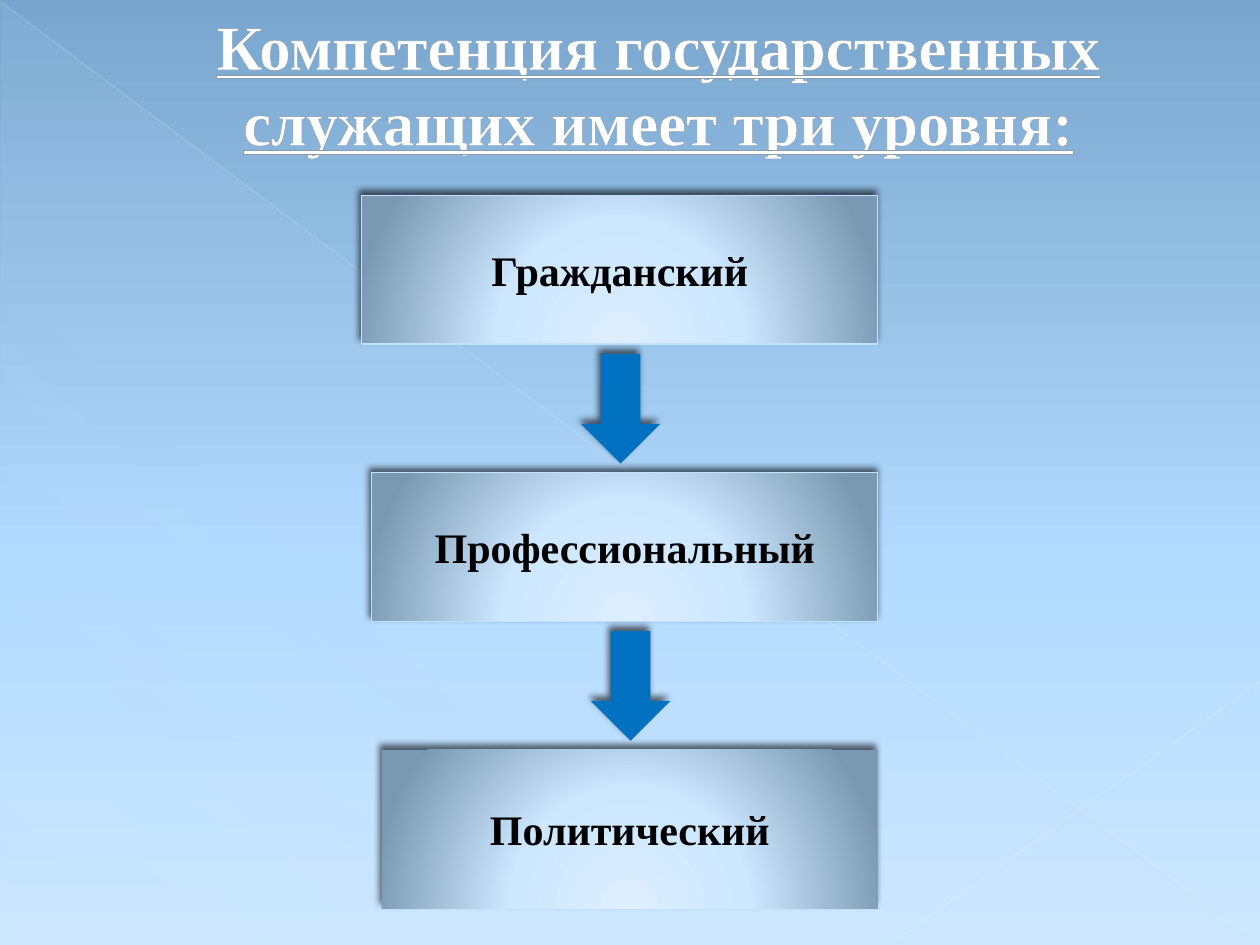
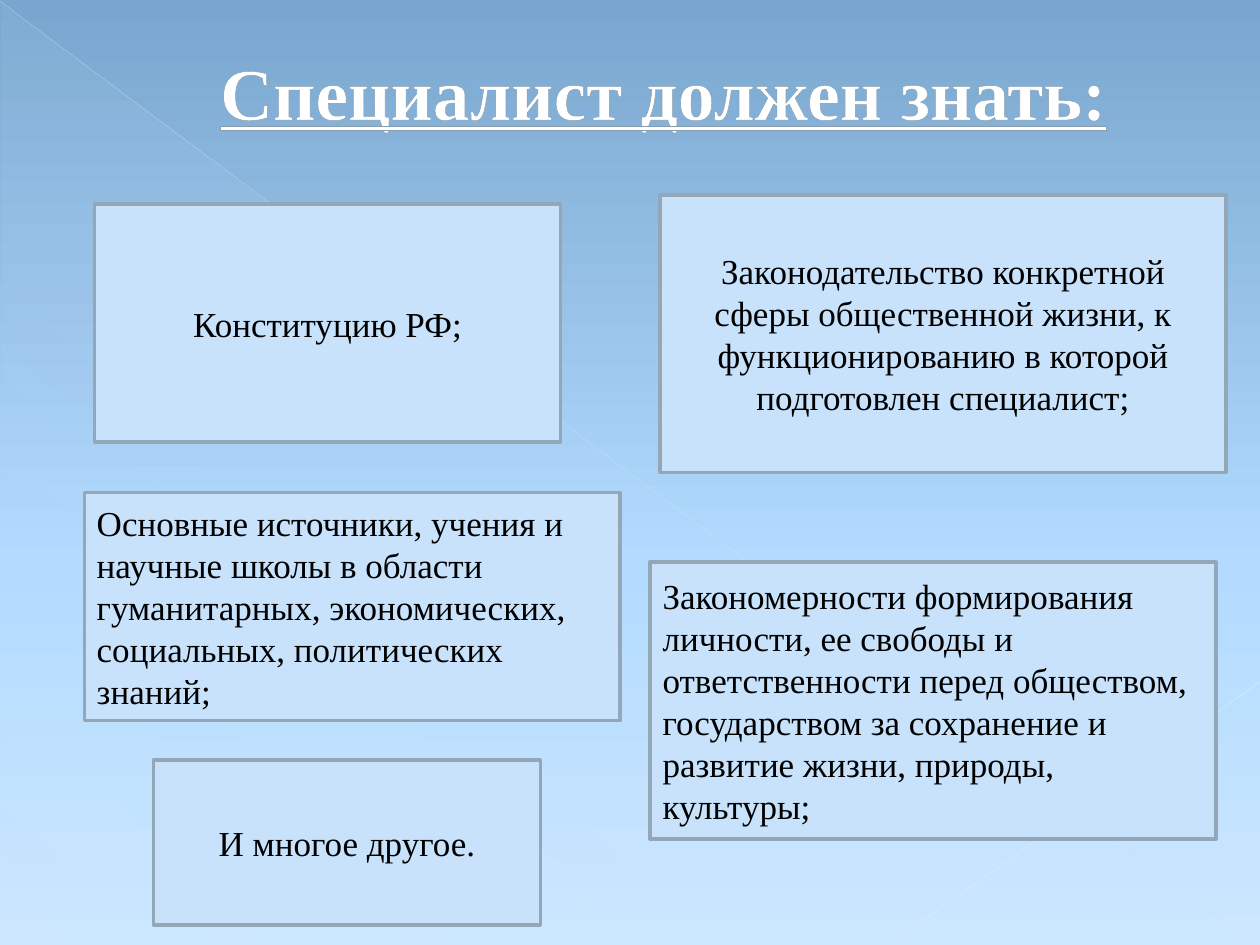
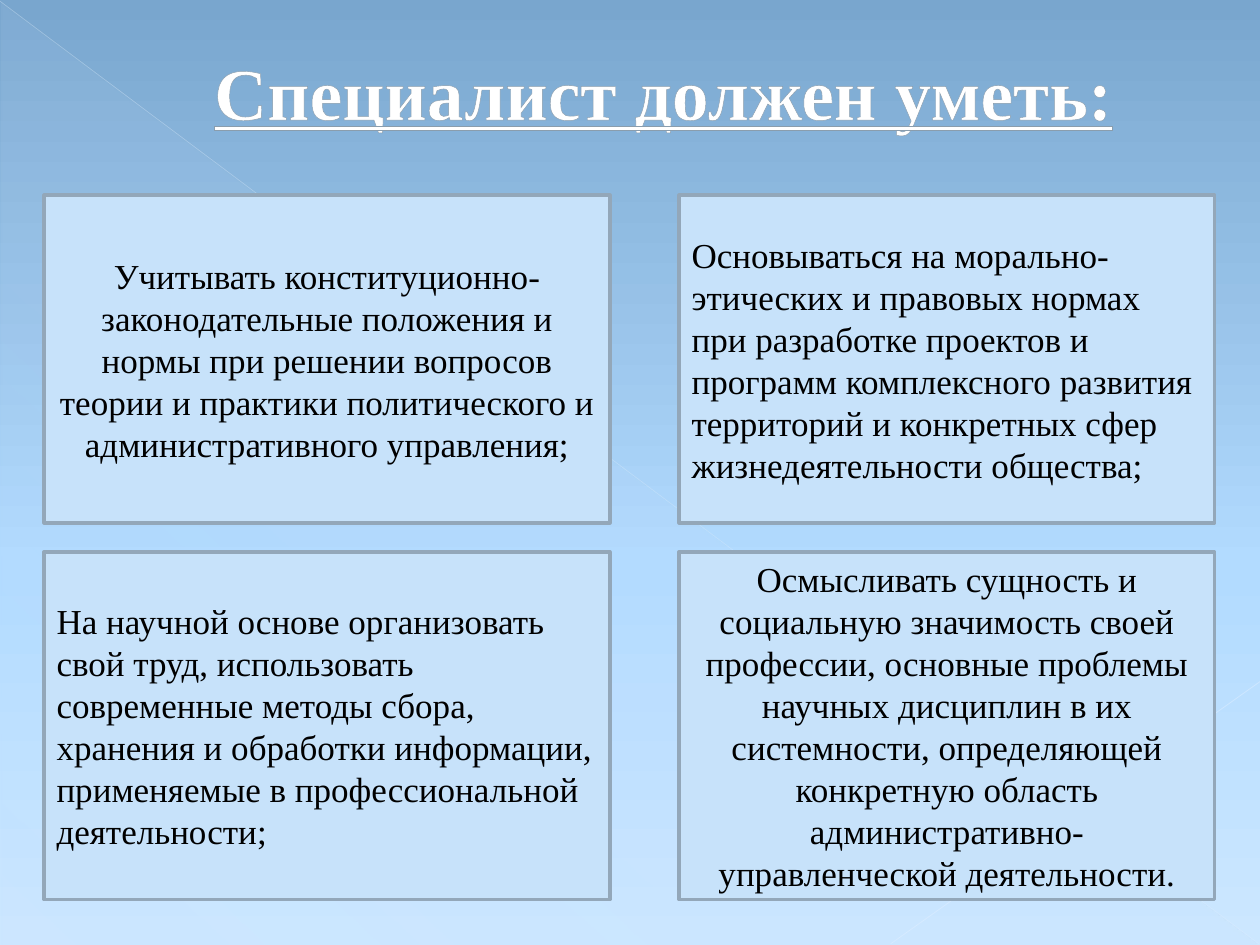
"""Build three slides on the competence of public servants."""
import lxml.etree
import pptx
import pptx.dml.color
import pptx.enum.shapes
import pptx.enum.text
import pptx.oxml.ns
import pptx.util

Pt = pptx.util.Pt
qn = pptx.oxml.ns.qn
SHAPES = pptx.enum.shapes.MSO_SHAPE
ALIGN = pptx.enum.text.PP_ALIGN
ANCHOR = pptx.enum.text.MSO_ANCHOR

FONT = "Times New Roman"
COLORS = {
    "sky_top": "79A6CE",
    "sky_middle": "B2DBFF",
    "sky_bottom": "CCE7FF",
    "panel": "C7E2FA",
    "panel_edge": "93A7B9",
    "falling_line": "E0F0FF",
    "rising_line": "E3F1FF",
    "level_light": "DDEEFF",
    "level_dark": "7B98B2",
    "level_edge": "C2E2FF",
    "arrow": "0070C0",
    "title": "FFFFFF",
    "title_edge": "8A9DAD",
    "text": "000000",
}

LEVELS = ["Гражданский", "Профессиональный", "Политический"]
KNOWLEDGE = [
    ("Конституцию РФ;", (54, 116.6, 266.4, 136), ALIGN.CENTER),
    ("Законодательство конкретной сферы общественной жизни, к функционированию "
     "в которой подготовлен специалист;", (377.2, 111.6, 323.3, 158.4), ALIGN.CENTER),
    ("Основные источники, учения и научные школы в области гуманитарных, "
     "экономических, социальных, политических знаний;",
     (48.2, 281.5, 306, 130.3), ALIGN.LEFT),
    ("Закономерности формирования личности, ее свободы и ответственности перед "
     "обществом, государством за сохранение и развитие жизни, природы, культуры;",
     (371.5, 321.1, 323.3, 158.4), ALIGN.LEFT),
    ("И многое другое.", (87.8, 434.2, 221, 94.3), ALIGN.CENTER),
]
SKILLS = [
    ("Учитывать конституционно-законодательные положения и нормы при решении "
     "вопросов теории и практики политического и административного управления;",
     ALIGN.CENTER),
    ("Основываться на морально-этических и правовых нормах при разработке проектов "
     "и программ комплексного развития территорий и конкретных сфер "
     "жизнедеятельности общества;", ALIGN.LEFT),
    ("На научной основе организовать свой труд, использовать современные методы "
     "сбора, хранения и обработки информации, применяемые в профессиональной "
     "деятельности;", ALIGN.LEFT),
    ("Осмысливать сущность и социальную значимость своей профессии, основные "
     "проблемы научных дисциплин в их системности, определяющей конкретную область "
     "административно-управленческой деятельности.", ALIGN.CENTER),
]
SKILL_COLUMNS = [(25.2, 323.3), (388.1, 306)]
SKILL_ROWS = [(111.6, 187.2), (315.4, 198.7)]


def rgb(name):
    """Return a palette colour."""
    return pptx.dml.color.RGBColor.from_string(COLORS[name])


def add_element(parent, tag, **attributes):
    """Append an XML element with the given attributes."""
    element = lxml.etree.SubElement(parent, qn(tag))
    for key, value in attributes.items():
        element.set(key, str(value))
    return element


def add_color(parent, name, opacity=100):
    """Append a palette colour with an opacity in percent."""
    color = add_element(parent, "a:srgbClr", val=COLORS[name])
    if opacity < 100:
        add_element(color, "a:alpha", val=opacity * 1000)


def set_gradient(fill, owner, stops, angle=None):
    """Give a fill a linear gradient, or a round one when no angle is given."""
    fill.gradient()
    gradient = next(owner.iter(qn("a:gradFill")))
    for child in list(gradient):
        gradient.remove(child)
    stop_list = add_element(gradient, "a:gsLst")
    for position, name, opacity in stops:
        stop = add_element(stop_list, "a:gs", pos=position * 1000)
        add_color(stop, name, opacity)
    if angle is None:
        circle = add_element(gradient, "a:path", path="circle")
        add_element(circle, "a:fillToRect", l=50000, t=155000, r=50000, b=-55000)
    else:
        add_element(gradient, "a:lin", ang=angle * 60000, scaled=0)


def add_shadow(shape):
    """Cast a soft shadow up and to the left."""
    shape.shadow.inherit = False
    effects = shape.element.spPr.find(qn("a:effectLst"))
    shadow = add_element(effects, "a:outerShdw", blurRad=Pt(4), dist=Pt(3),
                         dir=245 * 60000, algn="ctr", rotWithShape=0)
    add_color(shadow, "text", 60)


def add_box(slide, kind, place, edge=None, width=0):
    """Add a shape without shadow, outlined if an edge colour is given."""
    shape = slide.shapes.add_shape(kind, *map(Pt, place))
    shape.shadow.inherit = False
    if edge:
        shape.line.color.rgb = rgb(edge)
        shape.line.width = Pt(width)
    else:
        shape.line.fill.background()
    return shape


def add_line(slide, start, end, color, width, opacity):
    """Add a thin translucent straight line."""
    line = slide.shapes.add_connector(
        pptx.enum.shapes.MSO_CONNECTOR.STRAIGHT, *map(Pt, start + end))
    line.line.color.rgb = rgb(color)
    line.line.width = Pt(width)
    tint = next(line.element.iter(qn("a:srgbClr")))
    add_element(tint, "a:alpha", val=opacity * 1000)
    add_element(line.element.spPr, "a:effectLst")
    return line


def write_text(shape, text, size, color="text", bold=False, align=ALIGN.CENTER):
    """Write one formatted paragraph, centred vertically, and return it."""
    frame = shape.text_frame
    frame.text = text
    frame.word_wrap = True
    frame.auto_size = pptx.enum.text.MSO_AUTO_SIZE.NONE
    frame.vertical_anchor = ANCHOR.MIDDLE
    para = frame.paragraphs[0]
    para.alignment = align
    for span in para.runs:
        span.font.name = FONT
        span.font.size = Pt(size)
        span.font.bold = bold
        span.font.color.rgb = rgb(color)
    return para


def add_panel(slide, text, place, align):
    """Add a pale framed panel with text."""
    panel = add_box(slide, SHAPES.RECTANGLE, place, "panel_edge", 2)
    panel.fill.solid()
    panel.fill.fore_color.rgb = rgb("panel")
    write_text(panel, text, 20, align=align)


def add_level(slide, text, place, edge):
    """Add a shaded box naming one level."""
    level = add_box(slide, SHAPES.RECTANGLE, place, edge, 0.75)
    set_gradient(level.fill, level.element, [
        (0, "level_light", 100), (46, "sky_bottom", 100), (100, "level_dark", 100)])
    add_shadow(level)
    write_text(level, text, 24, bold=True)


def add_arrow(slide, place):
    """Add a block arrow pointing to the next level."""
    arrow = add_box(slide, SHAPES.DOWN_ARROW, place)
    arrow.fill.solid()
    arrow.fill.fore_color.rgb = rgb("arrow")
    add_shadow(arrow)


def add_slide(deck, title, size=42, place=(36, 20.9, 648, 110.2), bottom=52):
    """Add a slide with an underlined, outlined title."""
    slide = deck.slides.add_slide(deck.slide_layouts.get_by_name("Title Only"))
    box = slide.shapes.title
    box.left, box.top, box.width, box.height = map(Pt, place)
    para = write_text(box, title, size, "title", bold=True)
    box.text_frame.margin_bottom = Pt(bottom)
    properties = para._p.get_or_add_pPr()
    properties.set("marL", str(Pt(38.2)))
    properties.set("indent", "0")
    font = para.runs[0].font
    font.underline = True
    outline = add_element(font._element, "a:ln", w=Pt(0.5))
    add_color(add_element(outline, "a:solidFill"), "title_edge")
    font._element.insert(0, outline)
    return slide


def decorate_master(deck, slide):
    """Put the sky, the glow and the two thin lines on the slide master."""
    master = deck.slide_master
    set_gradient(master.background.fill, master.element, [
        (0, "sky_top", 100), (60, "sky_middle", 100), (100, "sky_bottom", 100)], 90)
    glow = add_box(slide, SHAPES.RIGHT_TRIANGLE, (0.7, 1.4, 718.6, 538.6))
    set_gradient(glow.fill, glow.element, [
        (0, "panel", 10), (70, "panel", 8), (100, "panel", 1)], 133)
    falling = add_line(slide, (0, 0.7), (719.3, 539.3), "falling_line", 0.39, 35)
    rising = add_line(slide, (720, 389.5), (509, 539.3), "rising_line", 0.47, 45)
    for number, shape in enumerate([glow, falling, rising], start=20):
        next(shape.element.iter(qn("p:cNvPr"))).set("id", str(number))
        master.element.cSld.spTree.append(shape.element)


def add_levels(slide):
    """Stack the levels, each a little narrower, with arrows between them."""
    right, step, pitch = 501.6, 5.75, 158.4
    for index, text in enumerate(LEVELS):
        last = index == len(LEVELS) - 1
        left, top = 206.7 + index * step, 111.6 + index * pitch
        place = (left, top, right - left, 90.7 if last else 85)
        add_level(slide, text, place, None if last else "level_edge")
        if not last:
            add_arrow(slide, (331.9 + index * step, top + 90.7, 45.4, 62.6))


def main():
    """Build and save the deck."""
    deck = pptx.Presentation()
    deck.slide_width, deck.slide_height = Pt(720), Pt(540)

    levels = add_slide(deck, "Компетенция государственных служащих имеет три уровня:",
                       36, (48.2, 0, 617.8, 94.3), 3.6)
    decorate_master(deck, levels)
    add_levels(levels)

    knowledge = add_slide(deck, "Специалист должен знать:")
    for text, place, align in KNOWLEDGE:
        add_panel(knowledge, text, place, align)

    skills = add_slide(deck, "Специалист должен уметь:")
    for index, (text, align) in enumerate(SKILLS):
        left, width = SKILL_COLUMNS[index % 2]
        top, height = SKILL_ROWS[index // 2]
        add_panel(skills, text, (left, top, width, height), align)

    deck.save("out.pptx")


if __name__ == "__main__":
    main()
